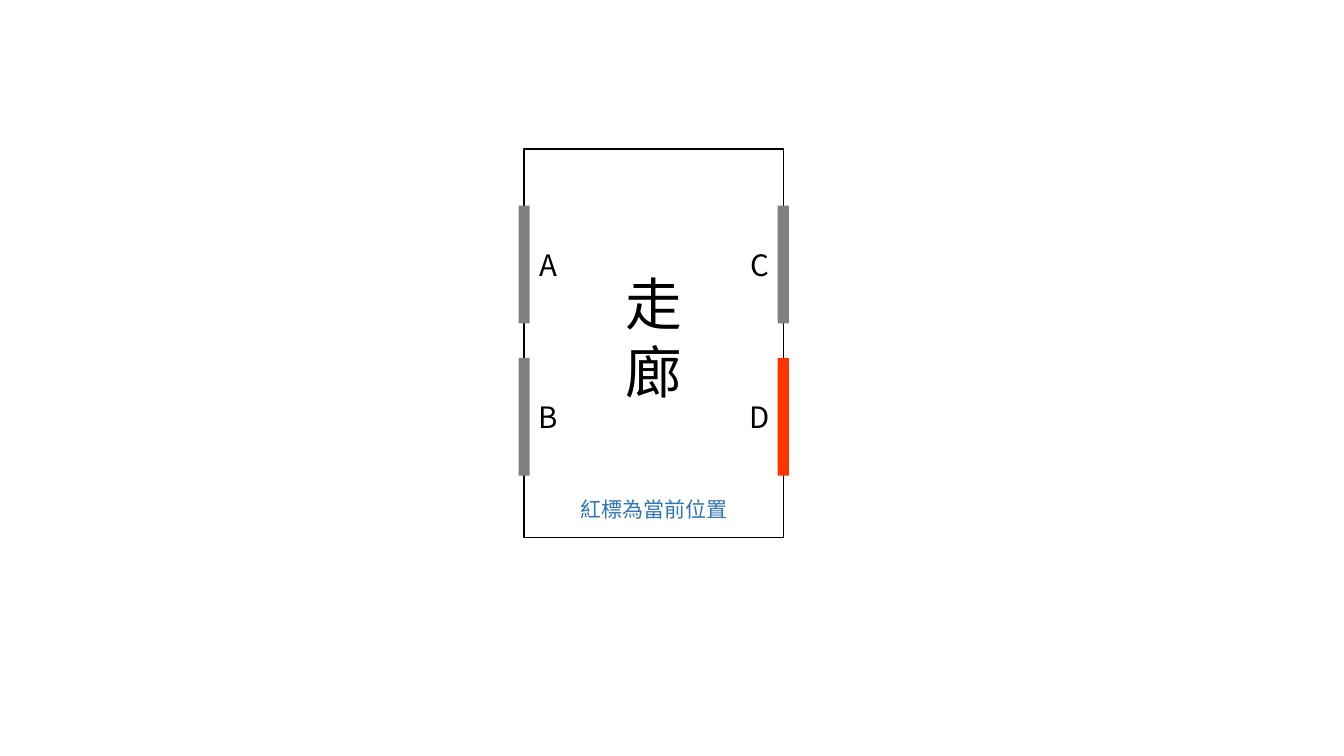
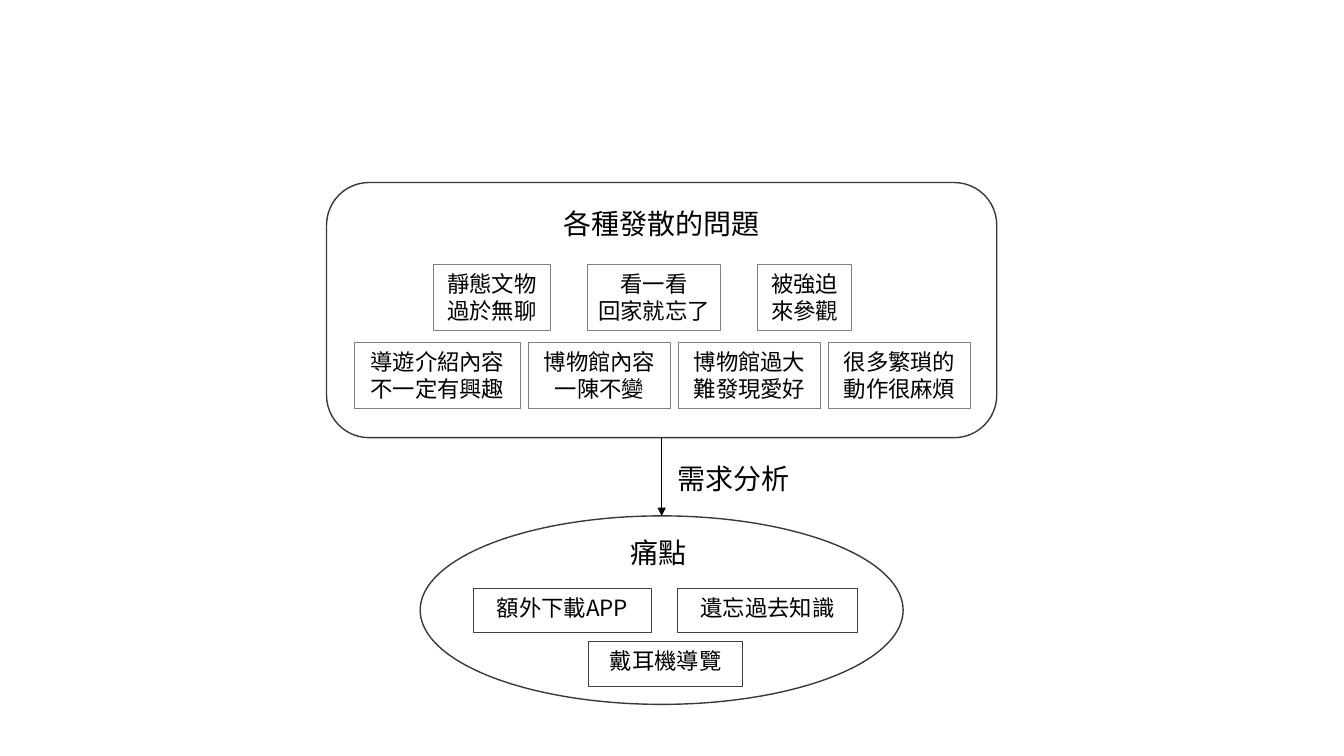
from collections import namedtuple

from lxml import etree
from pptx import Presentation
from pptx import util as u
from pptx.dml import color
from pptx.enum import shapes, text
from pptx.oxml import ns

Box = namedtuple("Box", "left top width height")

FONT = "Noto Sans CJK SC"
BLACK, OUTLINE, GRAY, DARK_GRAY = "000000", "3B3838", "808080", "404040"
RED, BLUE = "FF3300", "2E75B6"
RECTANGLE = shapes.MSO_SHAPE.RECTANGLE
BODY_SIZE, HEADING_SIZE = 16, 20
NORMAL_INSETS, TIGHT_INSETS = (0.25, 0.13), (0.18, 0.1)


def rgb(hex_string):
    return color.RGBColor.from_string(hex_string)


def lengths(box):
    return [u.Cm(value) for value in box]


def set_text(shape, content, size, font_color=BLACK, insets=NORMAL_INSETS):
    frame = shape.text_frame
    frame.text = content
    frame.word_wrap = False
    frame.vertical_anchor = text.MSO_ANCHOR.TOP
    frame.margin_left = frame.margin_right = u.Cm(insets[0])
    frame.margin_top = frame.margin_bottom = u.Cm(insets[1])
    for paragraph in frame.paragraphs:
        paragraph.alignment = text.PP_ALIGN.CENTER
        for run in paragraph.runs:
            run.font.size = u.Pt(size)
            run.font.name = FONT
            run.font.color.rgb = rgb(font_color)
            east_asian = etree.SubElement(run.font._element, ns.qn("a:ea"))
            east_asian.set("typeface", FONT)


def add_block(parent, kind, box, fill=None, line=None, line_width=1):
    shape = parent.shapes.add_shape(kind, *lengths(box))
    shape.shadow.inherit = False
    if fill:
        shape.fill.solid()
        shape.fill.fore_color.rgb = rgb(fill)
    else:
        shape.fill.background()
    if line:
        shape.line.color.rgb = rgb(line)
        shape.line.width = u.Pt(line_width)
    else:
        shape.line.fill.background()
    return shape


def add_label(parent, content, center, top, width, height, size, **text_style):
    """Add a text box centred on a horizontal position."""
    box = Box(center - width / 2, top, width, height)
    label = parent.shapes.add_textbox(*lengths(box))
    set_text(label, content, size, **text_style)


def add_card_row(parent, left, top, height, gap, cards, line):
    """Place outlined (text, width) cards side by side with an equal gap."""
    for content, width in cards:
        card = add_block(parent, RECTANGLE, Box(left, top, width, height), line=line, line_width=0.75)
        set_text(card, content, BODY_SIZE)
        left += width + gap


def add_arrow(slide, start, end):
    """Join the bottom of one shape to the top of another."""
    arrow = slide.shapes.add_connector(shapes.MSO_CONNECTOR.STRAIGHT, 0, 0, 0, 0)
    arrow.begin_connect(start, 2)
    arrow.end_connect(end, 0)
    arrow.line.color.rgb = rgb(BLACK)
    arrow.line.width = u.Pt(0.5)
    etree.SubElement(arrow.line._get_or_add_ln(), ns.qn("a:tailEnd")).set("type", "triangle")
    etree.SubElement(arrow._element.spPr, ns.qn("a:effectLst"))


def add_corridor(slide, box, current_door):
    group = slide.shapes.add_group_shape()
    add_block(group, RECTANGLE, box, line=BLACK)
    door_width, door_height, label_height = 0.28, 2.97, 1.09
    walls = ((box.left, 1, "AB"), (box.left + box.width, -1, "CD"))
    for wall, inward, names in walls:
        for name, offset in zip(names, (1.42, 5.26)):
            top = box.top + offset
            door = Box(wall - door_width / 2, top, door_width, door_height)
            add_block(group, RECTANGLE, door, fill=RED if name == current_door else GRAY)
            label_top = top + (door_height - label_height) / 2
            add_label(group, name, wall + inward * 0.6, label_top, 1, label_height, 21, insets=TIGHT_INSETS)
    center = box.left + box.width / 2
    add_label(group, "走\n廊", center, box.top + 2.92, 2, 3.66, 40.5, insets=TIGHT_INSETS)
    add_label(
        group, "紅標為當前位置", center, box.top + 8.66, 5, 0.84, 15,
        font_color=BLUE, insets=TIGHT_INSETS,
    )


def add_problems(slide, box):
    group = slide.shapes.add_group_shape()
    panel = add_block(group, shapes.MSO_SHAPE.ROUNDED_RECTANGLE, box, line=OUTLINE)
    add_label(group, "各種發散的問題", box.left + box.width / 2, box.top + 0.48, 5.66, 1.12, HEADING_SIZE)
    upper = [("靜態文物\n過於無聊", 2.95), ("看一看\n回家就忘了", 3.35), ("被強迫\n來參觀", 2.36)]
    lower = [
        ("導遊介紹內容\n不一定有興趣", 4.17),
        ("博物館內容\n一陳不變", 3.56),
        ("博物館過大\n難發現愛好", 3.56),
        ("很多繁瑣的\n動作很麻煩", 3.56),
    ]
    add_card_row(group, box.left + 2.69, box.top + 2.07, 1.65, 0.94, upper, GRAY)
    add_card_row(group, box.left + 0.71, box.top + 4.04, 1.65, 0.22, lower, GRAY)
    return panel


def add_pain_points(slide, box):
    group = slide.shapes.add_group_shape()
    ellipse = add_block(group, shapes.MSO_SHAPE.OVAL, box, line=OUTLINE)
    add_label(group, "痛點", box.left + 6, box.top + 0.36, 1.93, 1.12, HEADING_SIZE)
    upper = [("額外下載APP", 4.47), ("遺忘過去知識", 4.55)]
    add_card_row(group, box.left + 1.35, box.top + 1.83, 1.12, 0.66, upper, DARK_GRAY)
    add_card_row(group, box.left + 4.24, box.top + 3.17, 1.12, 0, [("戴耳機導覽", 3.89)], DARK_GRAY)
    return ellipse


def add_needs_analysis(slide, problems_box, pain_points_box):
    problems = add_problems(slide, problems_box)
    pain_points = add_pain_points(slide, pain_points_box)
    add_arrow(slide, problems, pain_points)
    center = problems_box.left + problems_box.width / 2
    bottom = problems_box.top + problems_box.height
    add_label(slide, "需求分析", center + 1.82, bottom + 0.48, 3.35, 1.12, HEADING_SIZE)


def main():
    presentation = Presentation()
    presentation.slide_width, presentation.slide_height = u.Cm(33.87), u.Cm(19.05)
    blank = presentation.slide_layouts[6]
    add_corridor(presentation.slides.add_slide(blank), Box(13.21, 3.76, 6.53, 9.78), "D")
    add_needs_analysis(
        presentation.slides.add_slide(blank),
        Box(8.23, 4.6, 16.89, 6.43),
        Box(10.59, 13, 12.17, 4.75),
    )
    presentation.save("out.pptx")


if __name__ == "__main__":
    main()
